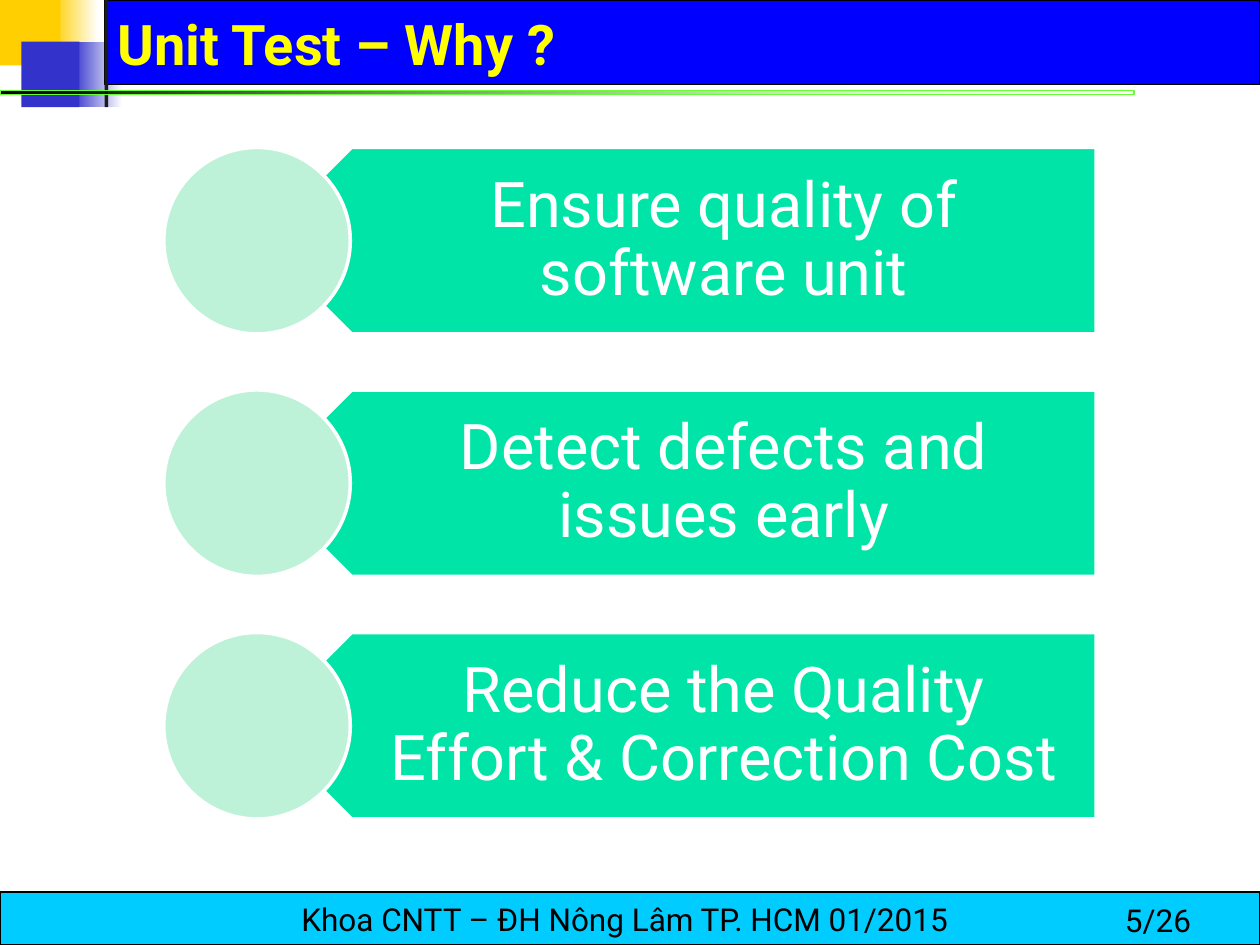
from dataclasses import dataclass

from lxml import etree
from pptx import Presentation
from pptx import util as u
from pptx.dml.color import RGBColor
from pptx.enum import shapes, text
from pptx.oxml import ns


@dataclass(frozen=True)
class Theme:
    font: str = "Roboto"
    title_size: int = 32
    item_size: int = 36
    footer_size: int = 18
    white: str = "FFFFFF"
    black: str = "000000"
    gold: str = "FFCF01"
    indigo: str = "3333CC"
    charcoal: str = "1C1C1C"
    lime: str = "66FF33"
    title_band: str = "0000FF"
    title_text: str = "FFFF00"
    footer_band: str = "00CCFF"
    arrow: str = "00E4A8"
    circle: str = "BDF2D9"


theme = Theme()
presentation = Presentation()
presentation.slide_width = u.Inches(10)
presentation.slide_height = u.Inches(7.5)
slide = presentation.slides.add_slide(presentation.slide_layouts[5])


def add_filled(kind, box, colors, line=None, line_width=0.75):
    """Add a preset shape; two colors make a left-to-right gradient."""
    shape = slide.shapes.add_shape(kind, *map(u.Inches, box))
    shape.shadow.inherit = False
    if len(colors) == 1:
        shape.fill.solid()
        shape.fill.fore_color.rgb = RGBColor.from_string(colors[0])
    else:
        shape.fill.gradient()
        shape.fill.gradient_angle = 0
        for stop, color, position in zip(shape.fill.gradient_stops, colors, (0, 1)):
            stop.color.rgb = RGBColor.from_string(color)
            stop.position = position
    if line:
        shape.line.color.rgb = RGBColor.from_string(line)
        shape.line.width = u.Pt(line_width)
    else:
        shape.line.fill.background()
    return shape


def write(shape, words, size, color, align, anchor, bold=False):
    frame = shape.text_frame
    frame.text = words
    frame.word_wrap = True
    frame.auto_size = text.MSO_AUTO_SIZE.NONE
    frame.vertical_anchor = anchor
    paragraph = frame.paragraphs[0]
    paragraph.alignment = align
    paragraph.font.name = theme.font
    paragraph.font.size = u.Pt(size)
    paragraph.font.bold = bold
    paragraph.font.color.rgb = RGBColor.from_string(color)
    return frame


preset = shapes.MSO_SHAPE
left, center = text.PP_ALIGN.LEFT, text.PP_ALIGN.CENTER
top, middle, bottom = text.MSO_ANCHOR.TOP, text.MSO_ANCHOR.MIDDLE, text.MSO_ANCHOR.BOTTOM

# Header squares and title band
add_filled(preset.RECTANGLE, (0.42, 0, 0.36, 0.52), [theme.gold, theme.white])
add_filled(preset.RECTANGLE, (0.57, 0.33, 0.4, 0.52), [theme.indigo, theme.white])
add_filled(preset.RECTANGLE, (0.83, 0, 9.17, 0.67), [theme.title_band], theme.black)
add_filled(preset.RECTANGLE, (0, 0, 0.48, 0.52), [theme.gold])
add_filled(preset.RECTANGLE, (0.17, 0.33, 0.46, 0.52), [theme.indigo])
add_filled(preset.RECTANGLE, (0.83, 0, 0.03, 0.85), [theme.charcoal])

# Rule below the header, fading to transparent
rule = add_filled(preset.RECTANGLE, (0, 0.72, 9, 0.03), [theme.black, theme.lime], theme.lime, 0)
fade_color = rule.element.spPr.findall(".//" + ns.qn("a:gs"))[-1][0]
etree.SubElement(fade_color, ns.qn("a:alpha"), val="0")

# Footer and page number
footer = add_filled(preset.RECTANGLE, (0, 7.08, 10, 0.42), [theme.footer_band], theme.black)
frame = write(footer, "Khoa CNTT – ĐH Nông Lâm TP. HCM 01/2015",
              theme.footer_size, theme.black, center, middle)
frame.margin_right = u.Inches(0.18)
page = slide.shapes.add_textbox(*map(u.Inches, (8.83, 7.1, 1.17, 0.4)))
write(page, "5/26", theme.footer_size, theme.black, left, top)

# Title, raised above its band
title = slide.shapes.title
title.left, title.top, title.width, title.height = map(u.Inches, (0.83, 0.08, 8.94, 0.58))
write(title, "Unit Test – Why ?", theme.title_size, theme.title_text, left, bottom, bold=True)
title.element.getparent().append(title.element)

# Reasons: left-pointing arrow, its text and a circle over the tip
reasons = [
    "Ensure quality of software unit",
    "Detect defects and issues early",
    "Reduce the Quality Effort & Correction Cost",
]
row_top, row_step, row_height = 1.17, 1.925, 1.48
for index, reason in enumerate(reasons):
    y = row_top + index * row_step
    arrow = add_filled(preset.PENTAGON, (2.05, y, 6.65, row_height), [theme.arrow], theme.white, 2)
    arrow.rotation = 180
    label = slide.shapes.add_textbox(*map(u.Inches, (2.42, y, 6.28, row_height)))
    frame = write(label, reason, theme.item_size, theme.white, center, middle)
    frame.margin_left, frame.margin_right = u.Inches(0.65), u.Inches(0.28)
    frame.margin_top = frame.margin_bottom = u.Inches(0.15)
    frame.paragraphs[0].line_spacing = 0.9
    frame.paragraphs[0].space_after = u.Pt(12.6)
    add_filled(preset.OVAL, (1.3, y, row_height, row_height), [theme.circle], theme.white, 2)

presentation.save("out.pptx")
